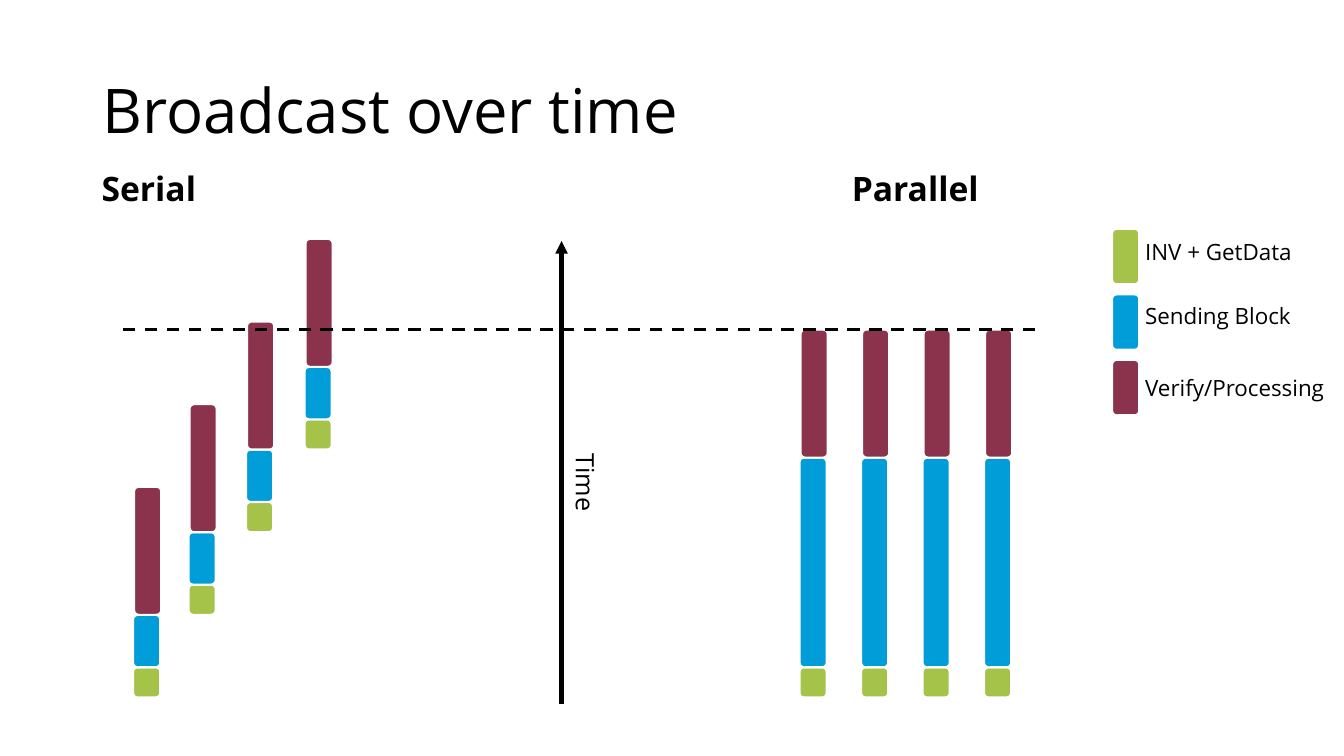
from pptx import Presentation
from pptx.dml.color import RGBColor
from pptx.enum.dml import MSO_LINE
from pptx.enum.shapes import MSO_CONNECTOR, MSO_SHAPE
from pptx.enum.text import MSO_ANCHOR
from pptx.oxml.ns import qn
from pptx.util import Inches, Pt
from lxml import etree

FONT = "Open Sans"
BLACK, WHITE = "000000", "FFFFFF"
INV, SENDING, VERIFY = "A5C249", "009DD9", "8B334C"
BAR_W, INV_H, SERIAL_H, PARALLEL_H, VERIFY_H = 0.27, 0.3, 0.52, 2.08, 1.27


def rgb(color):
    """Return the colour for a hex string."""
    return RGBColor.from_string(color)


def add_text(slide, box, lines, size, bold=False, anchor=MSO_ANCHOR.TOP,
             line_spacing=None, gaps=()):
    """Add a text box with one paragraph per line and gaps before later lines."""
    sp = slide.shapes.add_textbox(*map(Inches, box))
    tf = sp.text_frame
    tf.word_wrap = True
    tf.vertical_anchor = anchor
    tf.text = "\n".join(lines)
    for p in tf.paragraphs:
        p.line_spacing = line_spacing
        f = p.runs[0].font
        f.name, f.size, f.bold = FONT, Pt(size), bold
        f.color.rgb = rgb(BLACK)
    for p, gap in zip(tf.paragraphs[1:], gaps):
        p.space_before = Pt(gap)
    return sp


def add_bar(shapes, x, y, height, color):
    """Add one rounded bar with a white outline."""
    sp = shapes.add_shape(MSO_SHAPE.ROUNDED_RECTANGLE,
                          *map(Inches, (x, y, BAR_W, height)))
    sp.shadow.inherit = False
    sp.fill.solid()
    sp.fill.fore_color.rgb = rgb(color)
    sp.line.color.rgb = rgb(WHITE)
    sp.line.width = Pt(1.5)


def add_line(slide, start, end, width):
    """Add a straight black line without shadow."""
    cn = slide.shapes.add_connector(MSO_CONNECTOR.STRAIGHT,
                                    *map(Inches, start + end))
    cn.line.color.rgb = rgb(BLACK)
    cn.line.width = Pt(width)
    etree.SubElement(cn._element.spPr, qn("a:effectLst"))
    return cn


def add_stack(slide, x, bottom, sending_h):
    """Add a grouped column of the three phases, built upward from its bottom."""
    group = slide.shapes.add_group_shape()
    y = bottom
    for color, height, shift in ((INV, INV_H, 0), (SENDING, sending_h, 0),
                                 (VERIFY, VERIFY_H, 0.01)):
        y -= height
        add_bar(group.shapes, x + shift, y, height, color)


def add_serial(slide, x, bottom):
    """Add the serial columns, each starting once the previous block is sent."""
    for i, offset in enumerate((0, 0.55, 1.12, 1.7)):
        add_stack(slide, x + offset, bottom - i * (INV_H + SERIAL_H), SERIAL_H)


def add_parallel(slide, x, bottom):
    """Add the parallel columns, all starting together."""
    for i in range(4):
        add_stack(slide, x + i * 0.61, bottom, PARALLEL_H)


def add_axis(slide, x, top, bottom):
    """Add the upward time arrow and its rotated label."""
    cn = add_line(slide, (x, bottom), (x, top), 3)
    etree.SubElement(cn.line._get_or_add_ln(), qn("a:tailEnd"), type="triangle")
    label = add_text(slide, (x - 0.2, top + 2.25, 0.88, 0.4), ["Time"], 18)
    label.rotation = 90


def add_legend(slide, x, y):
    """Add the colour key with its three labels."""
    for i, color in enumerate((INV, SENDING, VERIFY)):
        add_bar(slide.shapes, x, y + i * 0.65, 0.55, color)
    add_text(slide, (x + 0.23, y + 0.04, 2.13, 1.78),
             ["INV + GetData", "Sending Block", "Verify/Processing"], 16,
             gaps=(27, 32))


def add_headings(slide):
    """Add the title and the two column headings."""
    add_text(slide, (0.92, 0.4, 11.5, 1.45), ["Broadcast over time"], 44,
             anchor=MSO_ANCHOR.MIDDLE, line_spacing=0.9)
    for x, heading in ((0.91, "Serial"), (8.35, "Parallel")):
        add_text(slide, (x, 1.22, 5.64, 0.9), [heading], 24, True,
                 MSO_ANCHOR.BOTTOM, 0.9)


def main():
    """Build the slide and save it."""
    prs = Presentation()
    prs.slide_width, prs.slide_height = Inches(13.33), Inches(7.5)
    slide = prs.slides.add_slide(prs.slide_layouts[6])
    add_headings(slide)
    add_serial(slide, 1.32, 6.92)
    add_parallel(slide, 7.93, 6.92)
    add_axis(slide, 5.57, 2.39, 6.98)
    finish = add_line(slide, (10.27, 3.27), (1.14, 3.27), 2.25)
    finish.line.dash_style = MSO_LINE.DASH
    add_legend(slide, 11.03, 2.27)
    prs.save("out.pptx")


if __name__ == "__main__":
    main()
